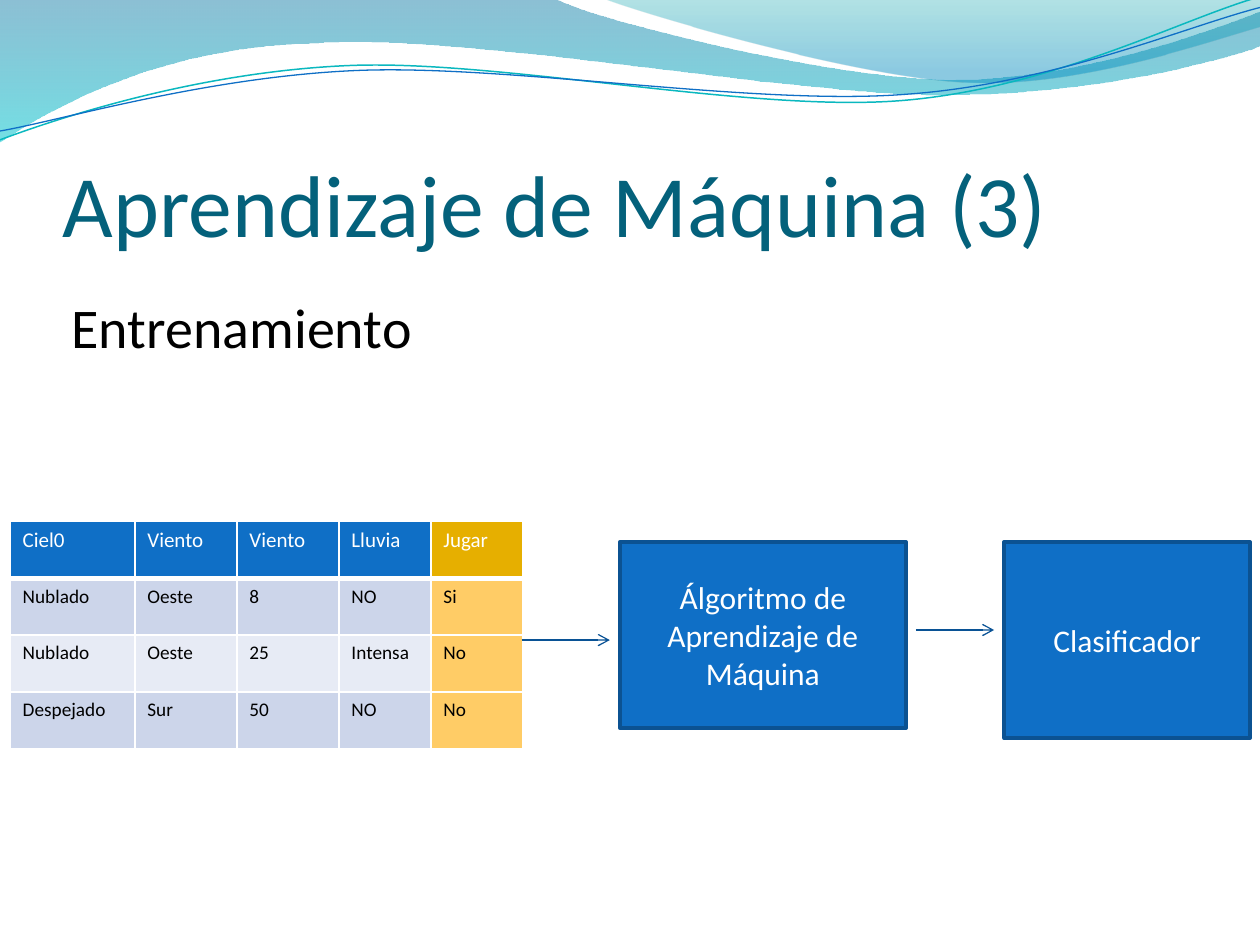
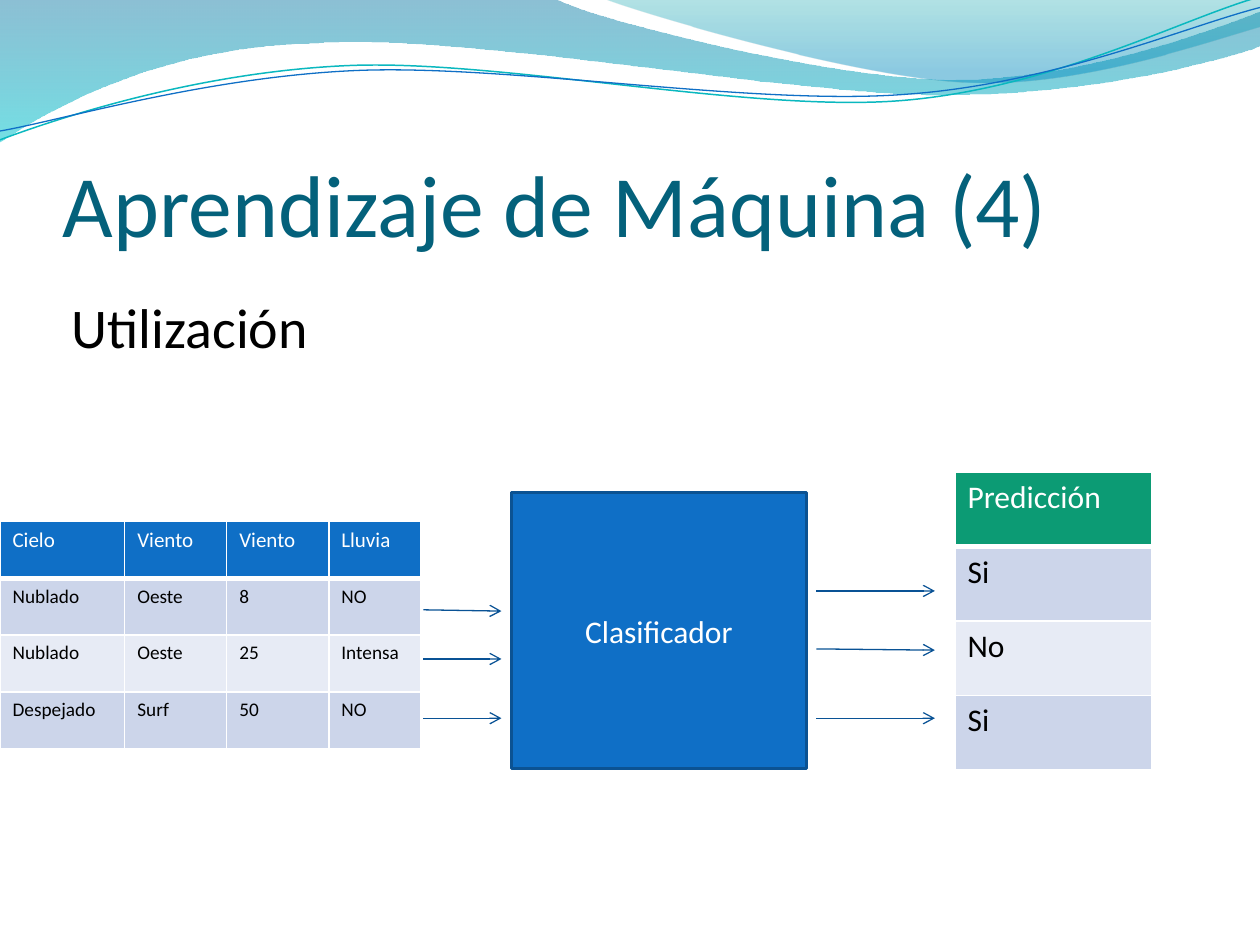
from dataclasses import dataclass
from math import cos, radians, sin

from lxml.etree import SubElement
from pptx import Presentation
from pptx.dml.color import RGBColor as Rgb
from pptx.enum.shapes import MSO_CONNECTOR as Connector, MSO_SHAPE as Shape
from pptx.enum.text import MSO_ANCHOR as Anchor, PP_ALIGN as Align
from pptx.oxml.ns import qn
from pptx.util import Inches, Pt


@dataclass(frozen=True)
class Theme:
    font: str = "Calibri"
    title: str = "04617B"
    black: str = "000000"
    white: str = "FFFFFF"
    blue: str = "0F6FC6"
    box_edge: str = "0B5292"
    arrow: str = "095295"
    teal_line: str = "0AB8BF"
    gold: str = "E6AF00"
    pale_gold: str = "FFCC66"
    green: str = "0C9B74"
    bands: tuple = ("CCD5EA", "E7EBF5")
    title_size: float = 50
    subtitle_size: float = 32
    label_size: float = 18
    head_size: float = 12
    cell_size: float = 11


THEME = Theme()
WEATHER_COLS = (0.99, 0.81, 0.81, 0.73)
RIPPLE_TILT = 2.7

WAVE_FILLS = (
    ((0, 0), (
        ((4.4, -0.01),),
        ((4.76, 0.17), (6.64, 0.63), (7.58, 0.63)),
        ((8.53, 0.63), (9.58, 0.26), (10, 0.09)),
        ((10.01, 0.36),),
        ((9.83, 0.44), (8.7, 0.76), (7.46, 0.75)),
        ((6.22, 0.75), (3.82, 0.28), (2.57, 0.34)),
        ((1.29, 0.36), (0.46, 0.83), (-0.01, 1.13)),
        ((0, 0),),
    ), ((0, "0074A1", 45), (1, "00C6CF", 55))),
    ((4.79, -0.01), (
        ((5.09, 0.11), (6.82, 0.62), (7.69, 0.65)),
        ((8.56, 0.69), (9.61, 0.32), (10, 0.21)),
        ((10, 0),),
        ((4.79, -0.01),),
    ), ((0, "00A1A9", 30), (0.8, "008BBF", 45))),
)
WAVE_LINES = (
    ((0, 1.11), (
        ((0.48, 0.93), (1.58, 0.57), (2.77, 0.52)),
        ((3.95, 0.47), (5.93, 0.89), (7.13, 0.8)),
        ((8.33, 0.71), (9.38, 0.15), (9.98, -0.02)),
    ), (4.99, 0.58), THEME.teal_line, 0.85),
    ((0, 1.04), (
        ((0.47, 0.96), (1.64, 0.61), (2.83, 0.56)),
        ((4.03, 0.51), (5.97, 0.84), (7.17, 0.75)),
        ((8.36, 0.67), (9.41, 0.21), (10, 0.06)),
    ), (5, 0.59), THEME.blue, 0.75),
)


def inches(values):
    return [Inches(value) for value in values]


def write(frame, text, size, color, align=Align.LEFT):
    paragraph = frame.paragraphs[0]
    paragraph.alignment = align
    run = paragraph.add_run()
    run.text = text
    run.font.name = THEME.font
    run.font.size = Pt(size)
    run.font.bold = False
    run.font.color.rgb = Rgb.from_string(color)


def paint(fill, color):
    fill.solid()
    fill.fore_color.rgb = Rgb.from_string(color)


def stroke(line, color, width):
    paint(line.fill, color)
    line.width = Pt(width)


def turn(point, center, degrees):
    dx, dy = point[0] - center[0], point[1] - center[1]
    c, s = cos(radians(degrees)), sin(radians(degrees))
    return center[0] + dx * c - dy * s, center[1] + dx * s + dy * c


def add_curve(slide, left, top, start, segments, close, center=(0, 0), tilt=0):
    route = [start, *(point for segment in segments for point in segment)]
    turned = [turn(point, center, tilt) for point in route]
    points = [inches((left + x, top + y)) for x, y in turned]
    builder = slide.shapes.build_freeform(*points[0])
    builder.add_line_segments(points[1:], close=close)
    curve = builder.convert_to_shape()
    curve.shadow.inherit = False
    curve.rotation = -tilt
    steps = iter(list(curve.element.iter(qn("a:lnTo"))))
    for segment in segments:
        step = next(steps)
        if len(segment) == 3:
            step.tag = qn("a:cubicBezTo")
            for _ in segment[1:]:
                control = next(steps)
                control.getparent().remove(control)
                step.append(control[0])
    return curve


def add_waves(slide, left, top):
    for start, segments, stops in WAVE_FILLS:
        wave = add_curve(slide, left, top, start, segments, True)
        wave.line.fill.background()
        wave.fill.gradient()
        wave.fill.gradient_angle = 270
        for stop, (position, color, _) in zip(wave.fill.gradient_stops, stops):
            stop.position = position
            stop.color.rgb = Rgb.from_string(color)
        tints = wave.element.spPr.iter(qn("a:srgbClr"))
        for tint, (_, _, opacity) in zip(tints, stops):
            SubElement(tint, qn("a:alpha")).set("val", str(opacity * 1000))
    for start, segments, center, color, width in WAVE_LINES:
        ripple = add_curve(slide, left, top, start, segments, False, center, RIPPLE_TILT)
        ripple.fill.background()
        stroke(ripple.line, color, width)


def add_heading(slide, box, title, subtitle):
    left, top, width, height = box
    frame = slide.shapes.add_textbox(*inches(box)).text_frame
    frame.word_wrap = True
    frame.vertical_anchor = Anchor.BOTTOM
    frame.margin_left = frame.margin_right = frame.margin_bottom = 0
    write(frame, title, THEME.title_size, THEME.title)
    subtitle_box = inches((left - 0.03, top + height + 0.25, 6.64, 0.64))
    frame = slide.shapes.add_textbox(*subtitle_box).text_frame
    frame.word_wrap = True
    write(frame, subtitle, THEME.subtitle_size, THEME.black)


def add_process(slide, box, label):
    process = slide.shapes.add_shape(Shape.RECTANGLE, *inches(box))
    process.shadow.inherit = False
    paint(process.fill, THEME.blue)
    stroke(process.line, THEME.box_edge, 2)
    process.text_frame.word_wrap = True
    process.text_frame.vertical_anchor = Anchor.MIDDLE
    write(process.text_frame, label, THEME.label_size, THEME.white, Align.CENTER)


def add_arrows(slide, left, right, heights):
    for start, end in heights:
        ends = inches((left, start, right, end))
        arrow = slide.shapes.add_connector(Connector.STRAIGHT, *ends)
        stroke(arrow.line, THEME.arrow, 0.75)
        outline = arrow.element.spPr.find(qn("a:ln"))
        SubElement(outline, qn("a:tailEnd")).set("type", "arrow")
        SubElement(arrow.element.spPr, qn("a:effectLst"))


def add_head_borders(cell):
    properties = cell._tc.get_or_add_tcPr()
    for side, width in (("L", 1), ("R", 1), ("T", 1), ("B", 3)):
        border = SubElement(properties, qn(f"a:ln{side}"), w=str(Pt(width)))
        color = SubElement(SubElement(border, qn("a:solidFill")), qn("a:srgbClr"))
        color.set("val", THEME.white)


def add_data(slide, left, top, columns, row_height, rows, head_fills,
             sizes=(THEME.head_size, THEME.cell_size), accent=None):
    box = inches((left, top, sum(columns), row_height * len(rows)))
    table = slide.shapes.add_table(len(rows), len(columns), *box).table
    for column, width in zip(table.columns, columns):
        column.width = Inches(width)
    for r, values in enumerate(rows):
        table.rows[r].height = Inches(row_height)
        for c, value in enumerate(values):
            cell = table.cell(r, c)
            if r == 0:
                add_head_borders(cell)
                paint(cell.fill, head_fills[c])
                write(cell.text_frame, value, sizes[0], THEME.white)
            else:
                band = THEME.bands[(r - 1) % 2]
                paint(cell.fill, THEME.pale_gold if c == accent else band)
                write(cell.text_frame, value, sizes[1], THEME.black)


def weather_rows(sky, last_wind):
    return [(sky, "Viento", "Viento", "Lluvia"),
            ("Nublado", "Oeste", "8", "NO"),
            ("Nublado", "Oeste", "25", "Intensa"),
            ("Despejado", last_wind, "50", "NO")]


def add_topic(deck, title, subtitle):
    slide = deck.slides.add_slide(deck.slide_layouts[6])
    add_waves(slide, 0, 0)
    add_heading(slide, (0.5, 0.77, 9, 1.25), title, subtitle)
    return slide


def training_slide(deck):
    slide = add_topic(deck, "Aprendizaje de Máquina (3)", "Entrenamiento")
    answers = ("Jugar", "Si", "No", "No")
    examples = [(*row, answer) for row, answer in zip(weather_rows("Ciel0", "Sur"), answers)]
    add_data(slide, 0.08, 4.14, (*WEATHER_COLS, 0.73), 0.45, examples,
             [THEME.blue] * 4 + [THEME.gold], accent=4)
    add_process(slide, (4.92, 4.3, 2.27, 1.48), "Álgoritmo de Aprendizaje de Máquina")
    add_arrows(slide, 4.14, 4.84, [(5.08, 5.08)])
    add_process(slide, (7.97, 4.3, 1.95, 1.56), "Clasificador")
    add_arrows(slide, 7.27, 7.89, [(5, 5)])


def usage_slide(deck):
    slide = add_topic(deck, "Aprendizaje de Máquina (4)", "Utilización")
    add_process(slide, (4.06, 3.91, 2.34, 2.19), "Clasificador")
    add_data(slide, 0, 4.14, WEATHER_COLS, 0.45, weather_rows("Cielo", "Surf"),
             [THEME.blue] * 4)
    predictions = [("Predicción",), ("Si",), ("No",), ("Si",)]
    add_data(slide, 7.58, 3.75, (1.56,), 0.59, predictions, [THEME.green],
             (THEME.label_size, THEME.label_size))
    add_arrows(slide, 3.36, 3.98, ((4.84, 4.85), (5.23, 5.23), (5.7, 5.7)))
    add_arrows(slide, 6.48, 7.42, ((4.69, 4.69), (5.15, 5.16), (5.7, 5.7)))


def main():
    deck = Presentation()
    deck.slide_width, deck.slide_height = inches((10, 7.5))
    training_slide(deck)
    usage_slide(deck)
    deck.save("out.pptx")


if __name__ == "__main__":
    main()
